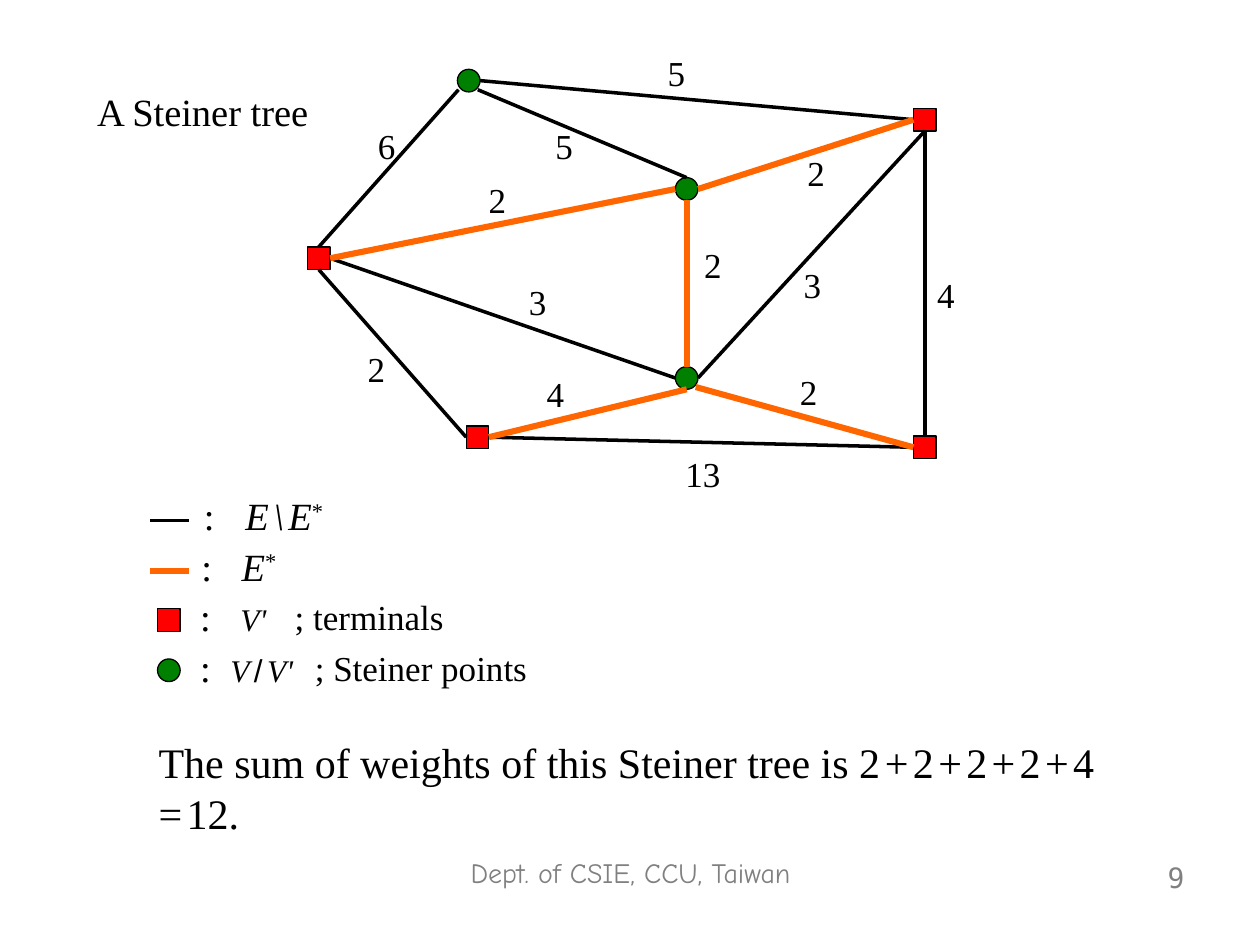
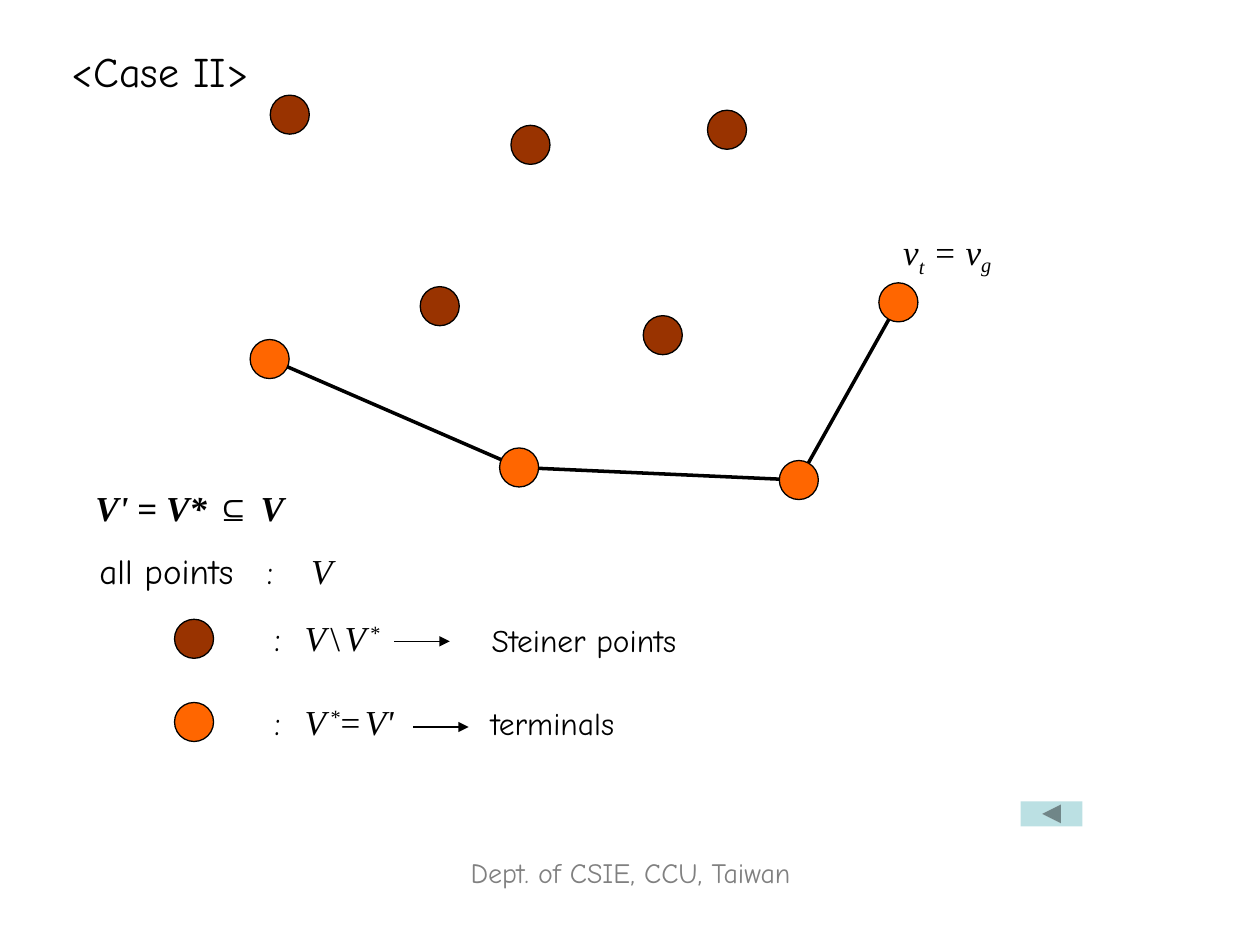
"""Build two slides on Steiner trees: a weighted example and the all-terminals case."""
from dataclasses import dataclass
from math import hypot

from lxml import etree
from pptx import Presentation
from pptx.dml.color import RGBColor
from pptx.enum.shapes import MSO_CONNECTOR, MSO_SHAPE
from pptx.enum.text import MSO_ANCHOR, MSO_AUTO_SIZE, PP_ALIGN
from pptx.oxml.ns import qn
from pptx.util import Inches, Pt

RECT, OVAL = MSO_SHAPE.RECTANGLE, MSO_SHAPE.OVAL
BACK_BUTTON = MSO_SHAPE.ACTION_BUTTON_BACK_OR_PREVIOUS
STRAIGHT = MSO_CONNECTOR.STRAIGHT
LEFT, CENTER, RIGHT = PP_ALIGN.LEFT, PP_ALIGN.CENTER, PP_ALIGN.RIGHT
TOP = MSO_ANCHOR.TOP
NO_FIT = MSO_AUTO_SIZE.NONE


@dataclass(frozen=True)
class Theme:
    """Colours, fonts, type sizes and line widths."""
    ink: str = "000000"
    grey: str = "808080"
    red: str = "FF0000"
    green: str = "008000"
    orange: str = "FF6600"
    brown: str = "993300"
    button: str = "BBE0E3"
    serif: str = "Times New Roman"
    comic: str = "Comic Neue"
    mono: str = "DejaVu Sans Mono"
    symbol: str = "Arial"
    large: int = 24
    legend: int = 22
    text: int = 20
    small: int = 18
    footer: int = 16
    hair: float = 0.75
    edge: float = 2
    tree: float = 3.5


T = Theme()
SLIDE_W, SLIDE_H = 10, 7.5
FOOTER = "Dept. of CSIE, CCU, Taiwan"

STYLES = {
    "": {},
    "i": {"font": T.serif, "italic": True},
    "si": {"font": T.serif, "italic": True, "size": T.small},
    "s": {"font": T.symbol, "size": T.small},
    "r": {"font": T.serif},
    "bi": {"bold": True, "italic": True},
    "b": {"bold": True},
    "bs": {"bold": True, "font": T.symbol},
    "thin": {"font": T.serif, "size": 10},
    "sup": {"font": T.serif, "base": 30},
    "subt": {"italic": True, "base": -25},
    "subg": {"italic": True, "base": -20},
}
THIN = (" ", "thin")

GRAPH_NODE = 0.18
GRAPH_NODES = {
    "west": (RECT, 2.53, 2.05), "south": (RECT, 3.79, 3.47),
    "northeast": (RECT, 7.34, 0.95), "southeast": (RECT, 7.34, 3.55),
    "top": (OVAL, 3.72, 0.64), "middle": (OVAL, 5.45, 1.5),
    "low": (OVAL, 5.45, 3.0),
}
SIDES = {"T": (0, -0.5), "L": (-0.5, 0), "B": (0, 0.5), "R": (0.5, 0),
         "SW": (-0.45, 0.4), "SE": (0.4, 0.4)}
SITES = {"T": 0, "L": 1, "B": 2, "R": 3}
OTHER_EDGES = [
    ("top", "SW", "west", "T", "6", 2.9, 0.94),
    ("top", "R", "northeast", "L", "5", 5.2, 0.36),
    ("top", "SE", "middle", "T", "5", 4.31, 0.94),
    ("west", "R", "low", "L", "3", 4.1, 2.18),
    ("low", "R", "northeast", "B", "3", 6.28, 2.04),
    ("west", "B", "south", "L", "2", 2.82, 2.71),
    ("south", "R", "southeast", "L", "13", 5.34, 3.54),
    ("northeast", "B", "southeast", "T", "4", 7.34, 2.12),
]
TREE_EDGES = [
    ("west", "R", "middle", "L", "2", 3.78, 1.37),
    ("middle", "B", "low", "T", "2", 5.49, 1.88),
    ("low", "B", "south", "R", "4", 4.24, 2.91),
    ("low", "SE", "southeast", "L", "2", 6.25, 2.89),
    ("middle", "R", "northeast", "L", "2", 6.31, 1.15),
]
LEGEND_TOP, LEGEND_PITCH = 3.86, 0.4
GRAPH_LEGEND = [
    (1.52, 0.33, [(":\t", ""), ("E", "i"), THIN, ("\\", "i"), THIN,
                  ("E", "i"), ("*", "sup")]),
    (1.5, 0.32, [(":\t", ""), ("E", "i"), ("*", "sup")]),
    (1.49, 0.32, [(":\t", ""), ("V'", "si")]),
    (1.49, 0.24, [(":\t", ""), ("V", "si"), THIN, ("/", "s"), THIN,
                  ("V'", "si")]),
]
LEGEND_NOTES = [(2.24, 4.68, "; terminals"), (2.4, 5.08, "; Steiner points")]
SUM_START = "The sum of weights of this Steiner tree is "
SUM_TERMS = ["2", "+", "2", "+", "2", "+", "2", "+", "4", "=", "12."]

POINT = 0.31
STEINER_POINTS = [(2.3, 0.91), (4.21, 1.15), (5.77, 1.03), (5.26, 2.66),
                  (3.49, 2.43)]
TERMINALS = [(2.14, 2.85), (4.12, 3.71), (6.34, 3.81), (7.13, 2.4)]
CASE_TEXTS = [
    (7.07, 1.78, 1.08, (), [("v", "i"), ("t", "subt"), (" = v", "i"),
                            ("g", "subg")], T.serif),
    (0.66, 3.81, 1.77, (), [("V'", "bi"), (" = ", "b"), ("V* ", "bi"),
                            ("⊆ ", "bs"), ("V", "bi")], T.serif),
    (0.69, 4.31, 2.52, (1.33, 1.68), [("all points\t:\t", ""), ("V", "i")],
     T.comic),
    (2.08, 4.84, 1.2, (0.24,), [(":\t", ""), ("V", "i"), THIN, ("\\", "r"),
                                THIN, ("V", "i"), THIN, ("*", "sup")], T.comic),
    (2.08, 5.51, 1.51, (0.24,), [(":\t", ""), ("V", "i"), THIN, ("*", "sup"),
                                 ("=", "r"), THIN, ("V'", "i")], T.comic),
]
CASE_KEYS = [
    (T.brown, 1.54, 5.07, 3.13, 5.09, "Steiner points", 3.33, 4.88, 2.61),
    (T.orange, 1.54, 5.73, 3.28, 5.77, "terminals", 3.67, 5.54, 1.43),
]


def rgb(color):
    """Turn a hex string into a colour."""
    return RGBColor.from_string(color)


def write(sp, runs, font, size, color=T.ink, align=LEFT, tabs=(), wrap=True):
    """Fill a shape's text frame with one paragraph of styled runs."""
    tf = sp.text_frame
    tf.word_wrap, tf.auto_size, tf.vertical_anchor = wrap, NO_FIT, TOP
    p = tf.paragraphs[0]
    p.alignment = align
    if tabs:
        stops = etree.SubElement(p._p.get_or_add_pPr(), qn("a:tabLst"))
        for stop in tabs:
            etree.SubElement(stops, qn("a:tab"), pos=str(Inches(stop)), algn="l")
    for text, key in runs:
        style = STYLES[key]
        r = p.add_run()
        r.text = text
        r.font.name = style.get("font", font)
        r.font.size = Pt(style.get("size", size))
        r.font.bold = style.get("bold", False)
        r.font.italic = style.get("italic", False)
        r.font.color.rgb = rgb(color)
        if "base" in style:
            r._r.get_or_add_rPr().set("baseline", str(style["base"] * 1000))


def add_text(slide, x, y, w, runs, font, size, h=0.44, **options):
    """Add a text box; a plain string counts as one unstyled run."""
    sp = slide.shapes.add_textbox(Inches(x), Inches(y), Inches(w), Inches(h))
    write(sp, [(runs, "")] if isinstance(runs, str) else runs, font, size, **options)


def add_node(slide, kind, cx, cy, size, fill):
    """Add a filled node centred on a point."""
    sp = slide.shapes.add_shape(kind, Inches(cx - size / 2), Inches(cy - size / 2),
                                Inches(size), Inches(size))
    sp.shadow.inherit = False
    sp.fill.solid()
    sp.fill.fore_color.rgb = rgb(fill)
    sp.line.color.rgb = rgb(T.ink)
    sp.line.width = Pt(T.hair)
    return sp


def add_line(slide, start, end, color=T.ink, width=T.edge, arrow=False):
    """Add a straight connector without shadow."""
    sp = slide.shapes.add_connector(STRAIGHT, *map(Inches, (*start, *end)))
    sp.line.color.rgb = rgb(color)
    sp.line.width = Pt(width)
    if arrow:
        etree.SubElement(sp.line._get_or_add_ln(), qn("a:tailEnd"), type="triangle")
    etree.SubElement(sp._element.spPr, qn("a:effectLst"))
    return sp


def add_slide(prs, title, x, y, w, font, size):
    """Add a slide with its title and the shared footer."""
    slide = prs.slides.add_slide(prs.slide_layouts[5])
    sp = slide.shapes.title
    sp.left, sp.top, sp.width, sp.height = map(Inches, (x, y, w, 0.5))
    write(sp, [(title, "")], font, size)
    add_text(slide, 3.19, 6.74, 3.63, FOOTER, T.comic, T.footer, h=0.52,
             color=T.grey, align=CENTER)
    return slide


def side_point(name, side):
    """Locate a side of a graph node."""
    _, cx, cy = GRAPH_NODES[name]
    dx, dy = SIDES[side]
    return cx + dx * GRAPH_NODE, cy + dy * GRAPH_NODE


def build_graph(prs):
    """Draw the weighted graph, its legend and the sum."""
    slide = add_slide(prs, "A Steiner tree", 0.67, 0.65, 2.12, T.serif, T.legend)
    fills = {RECT: T.red, OVAL: T.green}
    nodes = {name: add_node(slide, kind, cx, cy, GRAPH_NODE, fills[kind])
             for name, (kind, cx, cy) in GRAPH_NODES.items()}
    line_styles = [(T.ink, T.edge), (T.orange, T.tree)]
    for edges, line_style in zip((OTHER_EDGES, TREE_EDGES), line_styles):
        for a, a_side, b, b_side, weight, x, y in edges:
            sp = add_line(slide, side_point(a, a_side), side_point(b, b_side),
                          *line_style)
            if GRAPH_NODES[a][0] == RECT:
                sp.begin_connect(nodes[a], SITES[a_side])
            if GRAPH_NODES[b][0] == RECT:
                sp.end_connect(nodes[b], SITES[b_side])
            add_text(slide, x, y, 0.2 + 0.14 * len(weight), weight, T.serif,
                     T.text, wrap=False)
    for row, (x, tab, runs) in enumerate(GRAPH_LEGEND):
        y = LEGEND_TOP + row * LEGEND_PITCH
        add_text(slide, x, y, 1.3, runs, T.serif, T.legend, tabs=(tab,))
        if row < 2:
            add_line(slide, (1.19, y + 0.27), (1.5, y + 0.27), *line_styles[row])
        else:
            kind = (RECT, OVAL)[row - 2]
            add_node(slide, kind, 1.34, y + 0.26, GRAPH_NODE, fills[kind])
    for x, y, note in LEGEND_NOTES:
        add_text(slide, x, y, 2.02, note, T.serif, T.text)
    total = [(SUM_START, "")]
    for i, term in enumerate(SUM_TERMS):
        total += [THIN] * (i > 0) + [(term, "")]
    add_text(slide, 1.16, 5.8, 7.72, total, T.serif, T.large, h=0.9)
    add_text(slide, 7.17, 6.78, 2.33, "9", T.mono, T.footer, h=0.52,
             color=T.grey, align=RIGHT)


def build_case(prs):
    """Draw the case where the tree uses terminals only."""
    slide = add_slide(prs, "<Case II>", 0.47, 0.31, 1.82, T.comic, T.large)
    for points, fill in ((STEINER_POINTS, T.brown), (TERMINALS, T.orange)):
        for cx, cy in points:
            add_node(slide, OVAL, cx, cy, POINT, fill)
    for (ax, ay), (bx, by) in zip(TERMINALS, TERMINALS[1:]):
        share = POINT / 2 / hypot(bx - ax, by - ay)
        dx, dy = (bx - ax) * share, (by - ay) * share
        add_line(slide, (ax + dx, ay + dy), (bx - dx, by - dy))
    for x, y, w, tabs, runs, font in CASE_TEXTS:
        add_text(slide, x, y, w, runs, font, T.text, tabs=tabs)
    for fill, cx, cy, arrow_x, arrow_y, label, x, y, w in CASE_KEYS:
        add_node(slide, OVAL, cx, cy, POINT, fill)
        add_line(slide, (arrow_x, arrow_y), (arrow_x + 0.44, arrow_y),
                 width=T.hair, arrow=True)
        add_text(slide, x, y, w, label, T.comic, T.small, align=CENTER)
    button = slide.shapes.add_shape(BACK_BUTTON, Inches(8.1), Inches(6.36),
                                    Inches(0.49), Inches(0.2))
    button.shadow.inherit = False
    button.fill.solid()
    button.fill.fore_color.rgb = rgb(T.button)
    button.line.fill.background()


def main():
    """Build and save the presentation."""
    prs = Presentation()
    prs.slide_width, prs.slide_height = Inches(SLIDE_W), Inches(SLIDE_H)
    build_graph(prs)
    build_case(prs)
    prs.save("out.pptx")


if __name__ == "__main__":
    main()
